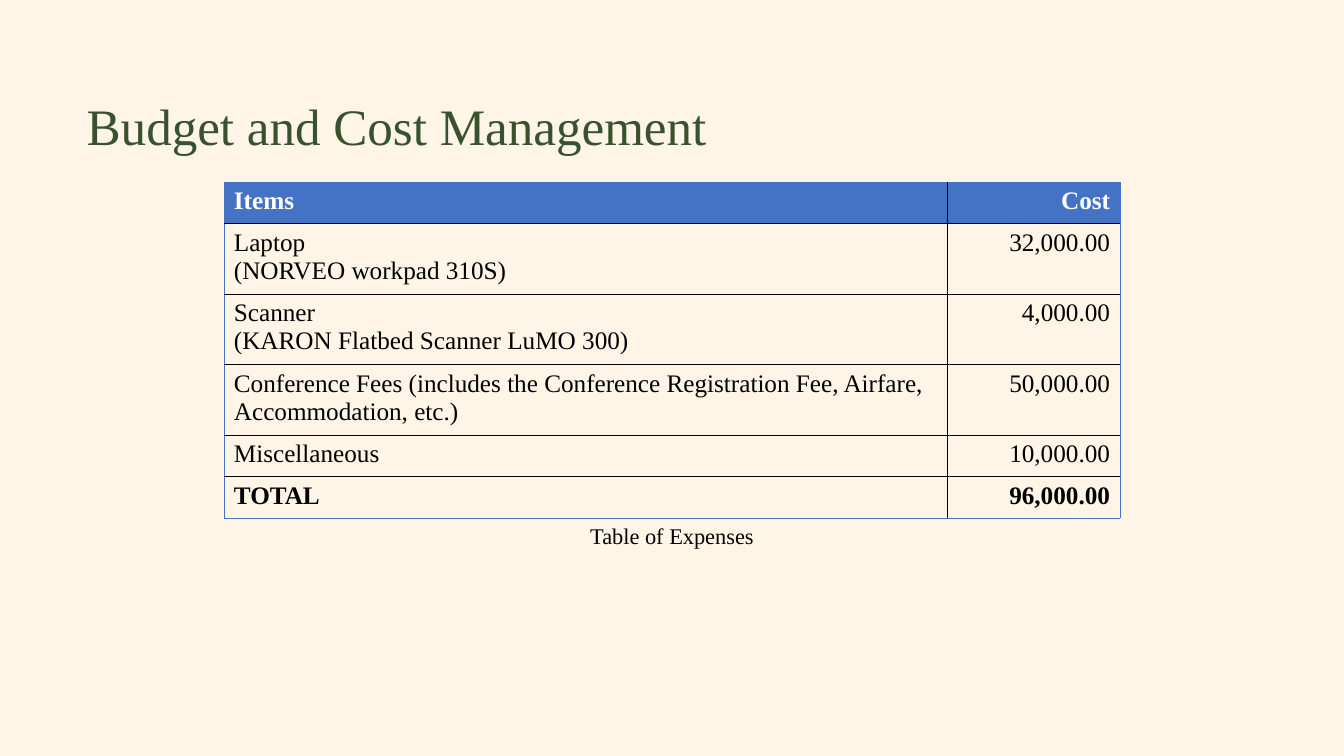
from lxml import etree
from pptx import Presentation
from pptx import util as u
from pptx.dml.color import RGBColor
from pptx.enum import text
from pptx.oxml import ns

CREAM = RGBColor(0xFE, 0xF5, 0xE7)
GREEN = RGBColor(0x38, 0x51, 0x2F)
BLUE = RGBColor(0x44, 0x72, 0xC4)
BLACK = RGBColor(0, 0, 0)
WHITE = RGBColor(0xFF, 0xFF, 0xFF)
ALIGN = text.PP_ALIGN


def style(para, size, color, bold=False, align=ALIGN.LEFT):
    para.alignment = align
    para.font.color.rgb = color
    look = {"name": "Times New Roman", "size": u.Pt(size), "bold": bold}
    for key, value in look.items():
        setattr(para.font, key, value)


def border(cell, edges):
    props = cell._tc.get_or_add_tcPr()
    for spot, (side, outer) in enumerate(edges.items()):
        width, color = (0.5, BLUE) if outer else (1, BLACK)
        line = etree.Element(ns.qn("a:ln" + side), w=str(u.Pt(width)))
        fill = etree.SubElement(line, ns.qn("a:solidFill"))
        etree.SubElement(fill, ns.qn("a:srgbClr"), val=str(color))
        props.insert(spot, line)


deck = Presentation()
deck.slide_width = u.Inches(13.33)
deck.slide_height = u.Inches(7.5)
slide = deck.slides.add_slide(deck.slide_layouts[5])
slide.background.fill.solid()
slide.background.fill.fore_color.rgb = CREAM

title = slide.shapes.title
place = {"left": 0.76, "top": 0.86, "width": 6.5, "height": 0.73}
for key, value in place.items():
    setattr(title, key, u.Inches(value))
frame = title.text_frame
frame.text = "Budget and Cost Management"
setup = {
    "word_wrap": False,
    "auto_size": text.MSO_AUTO_SIZE.NONE,
    "vertical_anchor": text.MSO_ANCHOR.TOP,
}
for key, value in setup.items():
    setattr(frame, key, value)
head = frame.paragraphs[0]
head.line_spacing = u.Pt(45.6)
style(head, 36.5, GREEN)

rows = [
    ("Items", "Cost", 0.41),
    ("Laptop\n(NORVEO workpad 310S)", "32,000.00", 0.7),
    ("Scanner\n(KARON Flatbed Scanner LuMO 300)", "4,000.00", 0.7),
    (
        "Conference Fees (includes the Conference Registration Fee, "
        "Airfare, Accommodation, etc.)",
        "50,000.00",
        0.7,
    ),
    ("Miscellaneous", "10,000.00", 0.41),
    ("TOTAL", "96,000.00", 0.41),
]
last = len(rows) - 1
table = slide.shapes.add_table(
    len(rows), 2, u.Inches(2.22), u.Inches(1.81), u.Inches(8.89), u.Inches(3.33)
).table
table.horz_banding = False
for col, width in zip(table.columns, (7.18, 1.71)):
    col.width = u.Inches(width)

for i, (item, cost, height) in enumerate(rows):
    table.rows[i].height = u.Inches(height)
    for j, words in enumerate((item, cost)):
        cell = table.cell(i, j)
        cell.text = words
        if i == 0:
            cell.fill.solid()
            cell.fill.fore_color.rgb = BLUE
        else:
            cell.fill.background()
        for para in cell.text_frame.paragraphs:
            style(
                para,
                18,
                BLACK if i else WHITE,
                i in (0, last),
                ALIGN.RIGHT if j else ALIGN.LEFT,
            )
        border(cell, {"L": j == 0, "R": j == 1, "T": i == 0, "B": i == last})

note = slide.shapes.add_textbox(
    u.Inches(3.08), u.Inches(5.13), u.Inches(7.17), u.Inches(0.32)
)
note.text_frame.word_wrap = True
note.text_frame.text = "Table of Expenses"
style(note.text_frame.paragraphs[0], 16, BLACK, align=ALIGN.CENTER)

deck.save("out.pptx")
